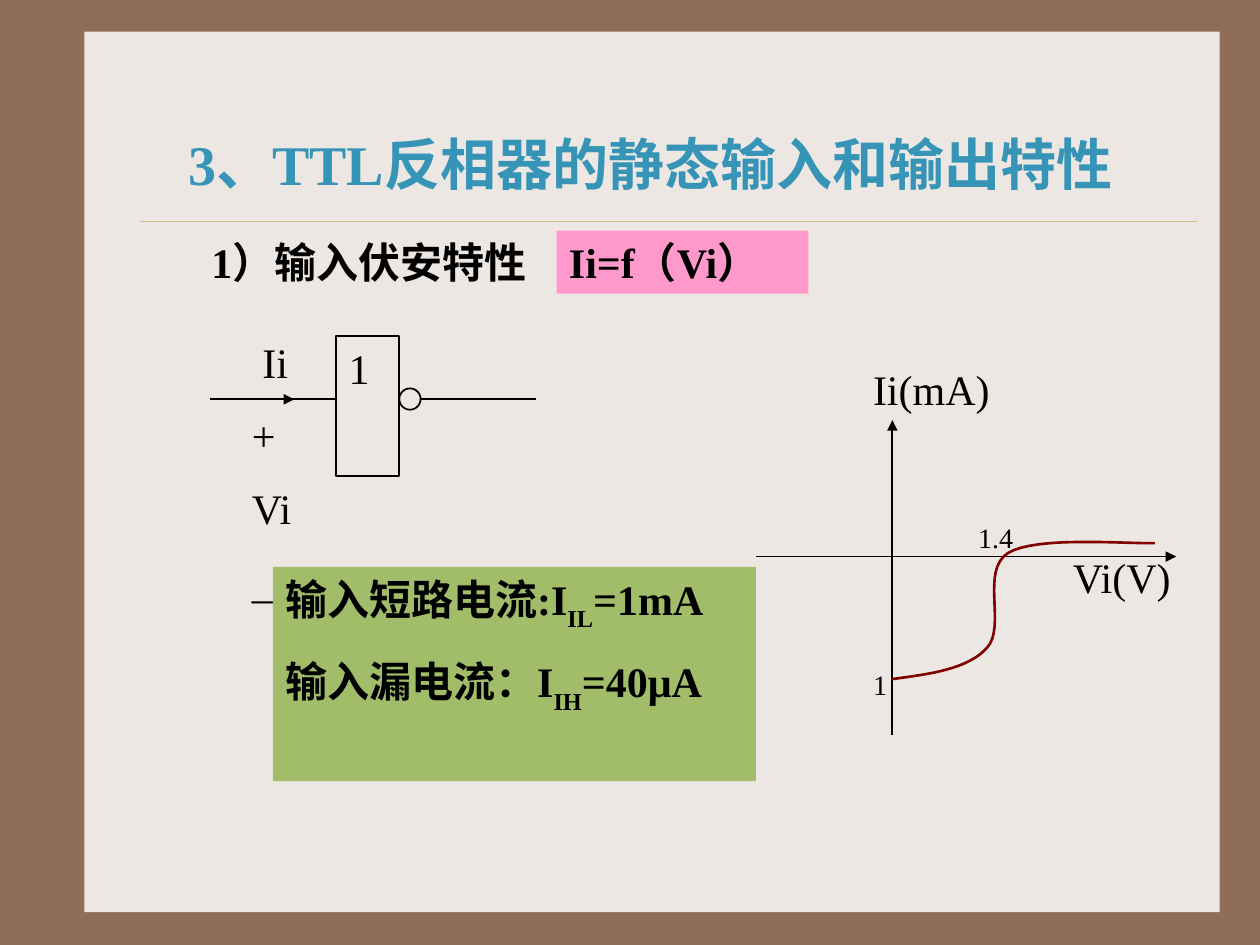
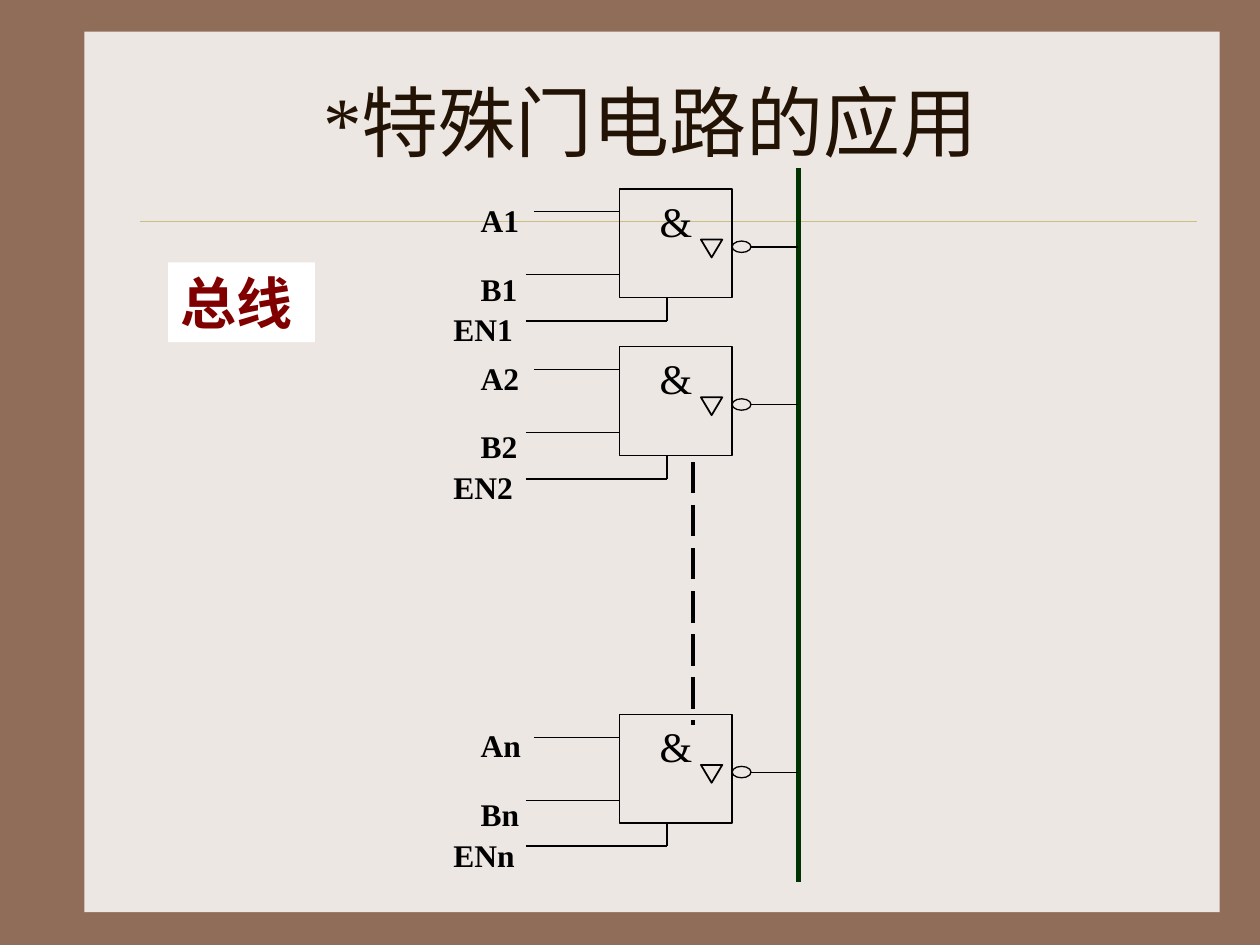
from pptx import Presentation
from pptx.dml.color import RGBColor
from pptx.enum.dml import MSO_LINE
from pptx.enum.shapes import MSO_CONNECTOR, MSO_SHAPE
from pptx.enum.text import MSO_ANCHOR, PP_ALIGN
from pptx.oxml.ns import qn
from pptx.util import Cm, Pt
from lxml.etree import SubElement

BROWN = "906D58"
CREAM = "EDE7E3"
GOLD = "CBBD83"
BLUE = "3694B6"
DARK = "221304"
BLACK = "000000"
MAROON = "800000"
PINK = "FF99CC"
GREEN = "A1BD69"
BUS_GREEN = "003300"
WHITE = "FFFFFF"


def colour(hex_string):
    return RGBColor.from_string(hex_string)


def bezier(start, first, second, end, steps=16):
    for step in range(1, steps + 1):
        t = step / steps
        yield tuple(
            (1 - t) ** 3 * a + 3 * (1 - t) ** 2 * t * b + 3 * (1 - t) * t ** 2 * c + t ** 3 * d
            for a, b, c, d in zip(start, first, second, end)
        )


class SlideBuilder:
    font = "Times New Roman"
    paragraph_gap = Pt(13)

    def __init__(self):
        self.deck = Presentation()
        self.deck.slide_width, self.deck.slide_height = Cm(25.4), Cm(19.05)
        self.page = None

    def new_page(self, title, top, size, title_colour, bold=False):
        self.page = self.deck.slides.add_slide(self.deck.slide_layouts[5])
        box = self.page.shapes.title
        box.left, box.top, box.width, box.height = Cm(2.54), Cm(top), Cm(21.16), Cm(3.18)
        box.text_frame.vertical_anchor = MSO_ANCHOR.MIDDLE
        self.set_lines(box, [title], size, bold, title_colour, PP_ALIGN.CENTER)

    def dress_master(self):
        master = self.deck.slide_master
        master.background.fill.solid()
        master.background.fill.fore_color.rgb = colour(BROWN)
        panel = self.shape(MSO_SHAPE.RECTANGLE, 1.7, 0.64, 22.89, 17.75, fill=CREAM)
        rule = self.line(2.82, 4.45, 24.13, 4.45, GOLD, 0.25)
        for position, part in enumerate((panel, rule), start=2):
            master.shapes.element.insert(position, part.element)

    def set_lines(self, box, lines, size, bold=False, text_colour=BLACK, align=PP_ALIGN.LEFT):
        frame = box.text_frame
        frame.text = "\n".join(line.split("~")[0] for line in lines)
        for number, (para, line) in enumerate(zip(frame.paragraphs, lines)):
            para.alignment = align
            if number:
                para.space_before = self.paragraph_gap
            for piece in line.split("~")[1:]:
                para.add_run().text = piece
            for index, span in enumerate(para.runs):
                span.font.name = self.font
                span.font.size = Pt(size)
                span.font.bold = bold
                span.font.color.rgb = colour(text_colour)
                if index % 2:
                    span.font._element.set("baseline", "-30000")

    def text(self, lines, left, top, width, height, size=24, bold=False, inset=True):
        box = self.page.shapes.add_textbox(Cm(left), Cm(top), Cm(width), Cm(height))
        frame = box.text_frame
        frame.word_wrap = True
        if not inset:
            frame.margin_left = frame.margin_right = frame.margin_top = frame.margin_bottom = 0
        self.set_lines(box, lines, size, bold)

    def outline(self, shape, fill, line, weight):
        shape.shadow.inherit = False
        if fill:
            shape.fill.solid()
            shape.fill.fore_color.rgb = colour(fill)
        else:
            shape.fill.background()
        if line:
            shape.line.color.rgb = colour(line)
            shape.line.width = Pt(weight)
        else:
            shape.line.fill.background()

    def shape(self, kind, left, top, width, height, fill=None, line=None, weight=1):
        shape = self.page.shapes.add_shape(kind, Cm(left), Cm(top), Cm(width), Cm(height))
        self.outline(shape, fill, line, weight)
        return shape

    def text_block(self, lines, left, top, width, height, size=24, bold=False,
                   text_colour=BLACK, align=PP_ALIGN.LEFT, wrap=True, **look):
        box = self.shape(MSO_SHAPE.RECTANGLE, left, top, width, height, **look)
        box.text_frame.vertical_anchor = MSO_ANCHOR.TOP
        box.text_frame.word_wrap = wrap
        self.set_lines(box, lines, size, bold, text_colour, align)

    def line(self, x1, y1, x2, y2, line_colour=BLACK, weight=1, arrow=False, dash=None):
        line = self.page.shapes.add_connector(
            MSO_CONNECTOR.STRAIGHT, Cm(x1), Cm(y1), Cm(x2), Cm(y2))
        line.line.color.rgb = colour(line_colour)
        line.line.width = Pt(weight)
        if dash:
            line.line.dash_style = dash
        if arrow:
            SubElement(line.element.spPr.find(qn("a:ln")), qn("a:tailEnd"), type="triangle")
        SubElement(line.element.spPr, qn("a:effectLst"))
        return line

    def curve(self, start, segments, line_colour, weight):
        points, current = [], start
        for first, second, end in segments:
            points.extend(bezier(current, first, second, end))
            current = end
        builder = self.page.shapes.build_freeform(Cm(start[0]), Cm(start[1]))
        builder.add_line_segments([(Cm(x), Cm(y)) for x, y in points], close=False)
        self.outline(builder.convert_to_shape(), None, line_colour, weight)

    def tristate_gate(self, suffix, top):
        thin = 0.75
        output_y, enable_y = top + 1.17, top + 2.66
        self.text_block(["&"], 12.49, top, 2.27, 2.19, align=PP_ALIGN.CENTER,
                        wrap=False, line=BLACK, weight=thin)
        self.line(10.76, top + 0.46, 12.49, top + 0.46, weight=thin)
        self.line(10.6, top + 1.73, 12.49, top + 1.73, weight=thin)
        self.line(15.14, output_y, 16.09, output_y, weight=thin)
        self.shape(MSO_SHAPE.OVAL, 14.76, top + 1.05, 0.38, 0.23, line=BLACK, weight=thin)
        self.line(13.44, top + 2.19, 13.44, enable_y)
        self.line(10.6, enable_y, 13.44, enable_y)
        triangle = self.shape(MSO_SHAPE.ISOSCELES_TRIANGLE, 14.13, top + 1.02, 0.43, 0.36,
                              line=BLACK)
        triangle.rotation = 180
        for name, left, drop, width in (("A", 9.44, 0.12, 2.1), ("B", 9.44, 1.5, 1.7),
                                        ("EN", 8.89, 2.32, 2.64)):
            self.text([name + suffix], left, top + drop, width, 1.02, 18, bold=True)


def input_characteristic(builder):
    builder.text(["1）输入伏安特性"], 4.01, 4.65, 12.7, 1.27, bold=True)
    builder.text_block(["Ii=f（Vi）"], 11.22, 4.65, 5.08, 1.27, bold=True, fill=PINK)

    wire_y = 8.05
    builder.text_block(["1"], 6.78, 6.78, 1.27, 2.82, line=BLACK)
    builder.shape(MSO_SHAPE.OVAL, 8.05, 7.83, 0.43, 0.43, line=BLACK)
    builder.line(5.08, wire_y, 6.78, wire_y)
    builder.line(8.48, wire_y, 10.8, wire_y)
    builder.line(4.23, wire_y, 5.93, wire_y, arrow=True)
    builder.text(["+", "Vi", "_"], 5.08, 8.26, 0.9, 4.06, inset=False)
    builder.text(["Ii"], 5.29, 6.78, 1.27, 1.02, inset=False)

    builder.text_block(["输入短路电流:I~IL~=1mA", "输入漏电流：I~IH~=40μA"],
                       5.5, 11.43, 9.74, 4.32, bold=True, fill=GREEN)

    builder.line(15.24, 11.22, 23.71, 11.22, arrow=True)
    builder.line(17.99, 14.82, 17.99, 8.47, arrow=True)
    builder.curve((17.99, 13.69), [
        ((18.75, 13.59), (19.51, 13.49), (19.9, 13.06)),
        ((20.29, 12.62), (19.76, 11.51), (20.32, 11.15)),
        ((20.88, 10.8), (22.76, 10.97), (23.28, 10.95)),
    ], MAROON, 1.5)
    builder.text(["Vi(V)"], 21.38, 11, 2.54, 1.27)
    builder.text(["Ii(mA)"], 17.35, 7.2, 4.66, 1.27)
    builder.text(["1"], 17.35, 13.34, 1.06, 0.93, 16)
    builder.text(["1.4"], 19.47, 10.37, 1.7, 0.93, 16)


def bus_application(builder):
    builder.text_block(["总线"], 3.39, 5.29, 2.96, 1.61, 32, bold=True,
                       text_colour=MAROON, fill=WHITE)
    builder.line(16.09, 3.39, 16.09, 17.78, BUS_GREEN, 3)
    for suffix, top in (("1", 3.81), ("2", 6.99), ("n", 14.4)):
        builder.tristate_gate(suffix, top)
    builder.line(13.97, 9.31, 13.97, 14.61, weight=2.25, dash=MSO_LINE.LONG_DASH)


def main():
    builder = SlideBuilder()
    builder.new_page("3、TTL反相器的静态输入和输出特性", 1.7, 32, BLUE, bold=True)
    builder.dress_master()
    input_characteristic(builder)
    builder.new_page("*特殊门电路的应用", 0.84, 44, DARK)
    bus_application(builder)
    builder.deck.save("out.pptx")


if __name__ == "__main__":
    main()
